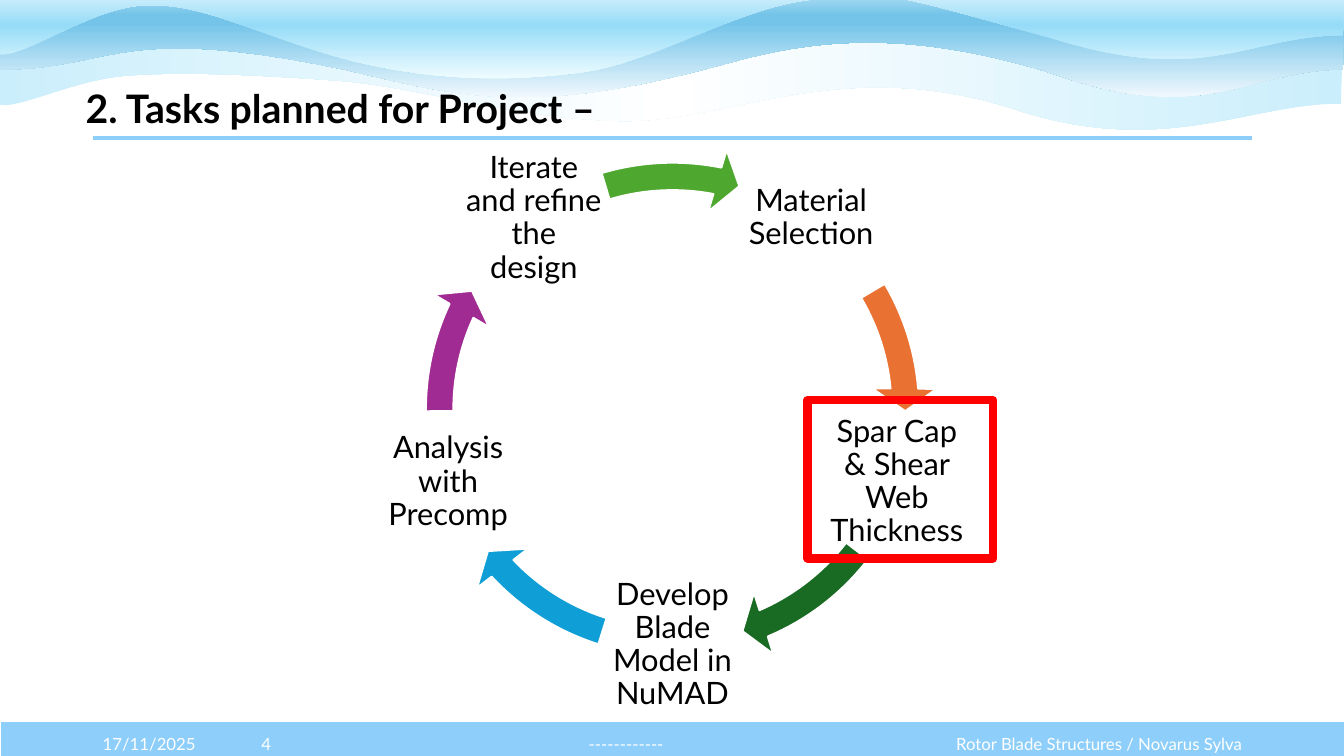
import math

import lxml.etree
import pptx
import pptx.dml.color
import pptx.enum.shapes
import pptx.enum.text
import pptx.oxml
import pptx.oxml.ns
import pptx.util

Inches = pptx.util.Inches
Pt = pptx.util.Pt
qn = pptx.oxml.ns.qn
SHAPES = pptx.enum.shapes.MSO_SHAPE
ALIGN = pptx.enum.text.PP_ALIGN
ANCHOR = pptx.enum.text.MSO_ANCHOR

FONT = "Lato"
COLORS = {
    "white": "FFFFFF", "black": "000000", "sky": "8ECEFA", "red": "FF0000",
    "orange": "E97132", "dark green": "196B24", "blue": "0F9ED5",
    "purple": "A02B93", "green": "4EA72E",
}

TITLE = "2. Tasks planned for Project –"
# text, left, width, alignment
FOOTER = [
    ("17/11/2025", 0.92, 1.22, ALIGN.LEFT),
    ("Rotor Blade Structures / Novarus Sylva", 9.27, 3.15, ALIGN.RIGHT),
    ("4", 2.13, 1.02, ALIGN.CENTER),
    ("------------", 3.15, 6.12, ALIGN.CENTER),
]

# task, arrow colour, arrow end angle, arrow start angle
TASKS = [
    ("Material Selection", "orange", 212.943, 197.653),
    ("Spar Cap & Shear Web Thickness", "dark green", 40.158, 22.525),
    ("Develop Blade Model in NuMAD", "blue", 82.119, 64.486),
    ("Analysis with Precomp", "purple", 122.99, 107.701),
    ("Iterate and refine the design", "green", 168.667, 151.976),
]
CYCLE_X, CYCLE_Y, CYCLE_RADIUS = 6.67, 4.06, 2.34
TASK_SIZE, ARROW_SIZE = 1.4, 5.26

# Each wave: box, gradient angle, gradient stops, start point, curves, closing corners.
WAVES = [
    ((-0.04, 0.3, 13.36, 0.98), 0, [(0, "CAEEFB"), (50, "FFFFFF"), (100, "CAEEFB")],
     (13.3, 1.03),
     [(12.37, 1.02, 11.52, 1.59, 9.99, 1.06), (8.27, 0.54, 7.21, 1.24, 6.1, 1.2),
      (4.99, 1.16, 4.21, 0.87, 3.35, 0.8), (2.49, 0.74, 1.83, 0.71, 1.27, 0.75),
      (0.71, 0.79, 0.14, 1.11, -0.02, 1.03), (-0.02, 0.8, -0.04, 0.53, -0.04, 0.3)],
     [(3.13, 0.31), (6.52, 0.34), (9.41, 0.32), (13.32, 0.34)]),
    ((0, -0.02, 13.33, 0.98), 90,
     [(0, "A2D8F0"), (17, "74C4E9"), (26, "74C4E9"), (100, "F0F8FD")],
     (13.32, 0.69),
     [(12.39, 0.69, 11.96, 1.27, 10.44, 0.73), (8.71, 0.19, 7.73, 0.49, 7.06, 0.67),
      (5.28, 1.14, 4.59, 0.97, 3.46, 0.7), (1.13, 0.21, 1.15, 0.69, 0, 0.69),
      (0, 0.46, 0.01, 0.23, 0.01, -0.01)],
     [(3.13, 0), (6.54, -0.02), (9.46, -0.01), (13.33, 0.03)]),
    ((-0.03, -0.28, 13.36, 1.06), 90, [(0, "FFFFFF"), (50, "96DCF8"), (100, "EFFCFF")],
     (13.32, 0.35),
     [(12.39, 0.35, 11.96, 0.86, 10.44, 0.38), (8.72, -0.09, 8.91, -0.07, 8.13, -0.01),
      (7.35, 0.04, 6.53, 0.62, 5.76, 0.72), (4.98, 0.82, 4.24, 0.79, 3.47, 0.6),
      (2.58, 0.36, 2.07, 0.05, 1.5, 0.05), (0.92, 0.04, 0.22, 0.61, -0.03, 0.53),
      (-0.02, 0.32, 0.01, -0.06, 0.01, -0.27)],
     [(3.13, -0.26), (6.54, -0.28), (9.46, -0.27), (13.33, -0.24)]),
]
PATH_UNITS = 100


def rgb(name):
    return pptx.dml.color.RGBColor.from_string(COLORS[name])


def add_text(slide, text, left, top, width, height, size=12, color="white", bold=False,
             align=ALIGN.LEFT, anchor=ANCHOR.MIDDLE, inset=None, line_spacing=None):
    box = slide.shapes.add_textbox(Inches(left), Inches(top), Inches(width), Inches(height))
    frame = box.text_frame
    frame.word_wrap = True
    frame.vertical_anchor = anchor
    if inset is not None:
        frame.margin_left = frame.margin_right = Inches(inset)
        frame.margin_top = frame.margin_bottom = Inches(inset)
    paragraph = frame.paragraphs[0]
    paragraph.alignment = align
    paragraph.line_spacing = line_spacing
    run = paragraph.add_run()
    run.text = text
    run.font.name = FONT
    run.font.size = Pt(size)
    run.font.bold = bold
    run.font.color.rgb = rgb(color)


def add_shape(slide, preset, left, top, width, height, fill=None, line="white", line_width=1.5):
    shape = slide.shapes.add_shape(
        preset, Inches(left), Inches(top), Inches(width), Inches(height))
    shape.shadow.inherit = False
    if fill:
        shape.fill.solid()
        shape.fill.fore_color.rgb = rgb(fill)
    else:
        shape.fill.background()
    shape.line.color.rgb = rgb(line)
    shape.line.width = Pt(line_width)
    return shape


def set_gradient(shape, angle, stops):
    shape.fill.gradient()
    gradient = shape._element.spPr.find(qn("a:gradFill"))
    for child in list(gradient):
        gradient.remove(child)
    stop_list = lxml.etree.SubElement(gradient, qn("a:gsLst"))
    for position, color in stops:
        stop = lxml.etree.SubElement(stop_list, qn("a:gs"), pos=str(position * 1000))
        lxml.etree.SubElement(stop, qn("a:srgbClr"), val=color)
    lxml.etree.SubElement(gradient, qn("a:lin"), ang=str(angle * 60000), scaled="0")


def add_wave(slide, box, angle, stops, start, curves, corners):
    """Draw a freeform, then turn its outline into Bezier curves inside the box."""
    left, top, width, height = box
    builder = slide.shapes.build_freeform(0, 0, scale=Inches(1))
    builder.add_line_segments([(1, 0), (1, 1)], close=True)
    wave = builder.convert_to_shape()
    wave.left, wave.top, wave.width, wave.height = map(Inches, box)

    outline = next(wave._element.iter(qn("a:path")))
    for child in list(outline):
        outline.remove(child)
    outline.set("w", str(round(width * PATH_UNITS)))
    outline.set("h", str(round(height * PATH_UNITS)))
    steps = [("a:moveTo", start)]
    steps += [("a:cubicBezTo", curve) for curve in curves]
    steps += [("a:lnTo", corner) for corner in corners]
    for tag, numbers in steps:
        step = lxml.etree.SubElement(outline, qn(tag))
        for x, y in zip(numbers[::2], numbers[1::2]):
            lxml.etree.SubElement(step, qn("a:pt"), x=str(round((x - left) * PATH_UNITS)),
                                  y=str(round((y - top) * PATH_UNITS)))
    lxml.etree.SubElement(outline, qn("a:close"))

    wave.shadow.inherit = False
    wave.line.fill.background()
    set_gradient(wave, angle, stops)


def add_title_rule(slide):
    rule = slide.shapes.add_connector(
        pptx.enum.shapes.MSO_CONNECTOR.STRAIGHT,
        Inches(0.92), Inches(1.37), Inches(12.42), Inches(1.37))
    rule.line.color.rgb = rgb("sky")
    rule.line.width = Pt(3)
    lxml.etree.SubElement(rule._element.spPr, qn("a:effectLst"))


def add_cycle(slide):
    for index, (task, color, end, start) in enumerate(TASKS):
        angle = math.radians(360 / len(TASKS) * index - 54)
        left = CYCLE_X + CYCLE_RADIUS * math.cos(angle) - TASK_SIZE / 2
        top = CYCLE_Y + CYCLE_RADIUS * math.sin(angle) - TASK_SIZE / 2
        add_text(slide, task, left, top, TASK_SIZE, TASK_SIZE, size=22, color="black",
                 align=ALIGN.CENTER, inset=0.02, line_spacing=0.9)
        arrow = add_shape(slide, SHAPES.CIRCULAR_ARROW, CYCLE_X - ARROW_SIZE / 2,
                          CYCLE_Y - ARROW_SIZE / 2, ARROW_SIZE, ARROW_SIZE, fill=color)
        for position, value in enumerate((0.052, 3.357, end, start, 0.061)):
            arrow.adjustments[position] = value


def main():
    presentation = pptx.Presentation()
    presentation.slide_width = Inches(13.33)
    presentation.slide_height = Inches(7.5)
    slide = presentation.slides.add_slide(presentation.slide_layouts[6])

    add_shape(slide, SHAPES.RECTANGLE, 0, 7.15, 13.35, 0.4, fill="sky")
    for wave in WAVES:
        add_wave(slide, *wave)
    add_title_rule(slide)
    for text, left, width, align in FOOTER:
        add_text(slide, text, left, 7.18, width, 0.4, align=align)
    add_text(slide, TITLE, 0.75, 0.79, 7.59, 0.57, size=28, color="black", bold=True,
             anchor=ANCHOR.TOP)
    add_cycle(slide)
    add_shape(slide, SHAPES.RECTANGLE, 8.01, 3.97, 1.84, 1.57, line="red", line_width=6)
    presentation.save("out.pptx")


if __name__ == "__main__":
    main()
